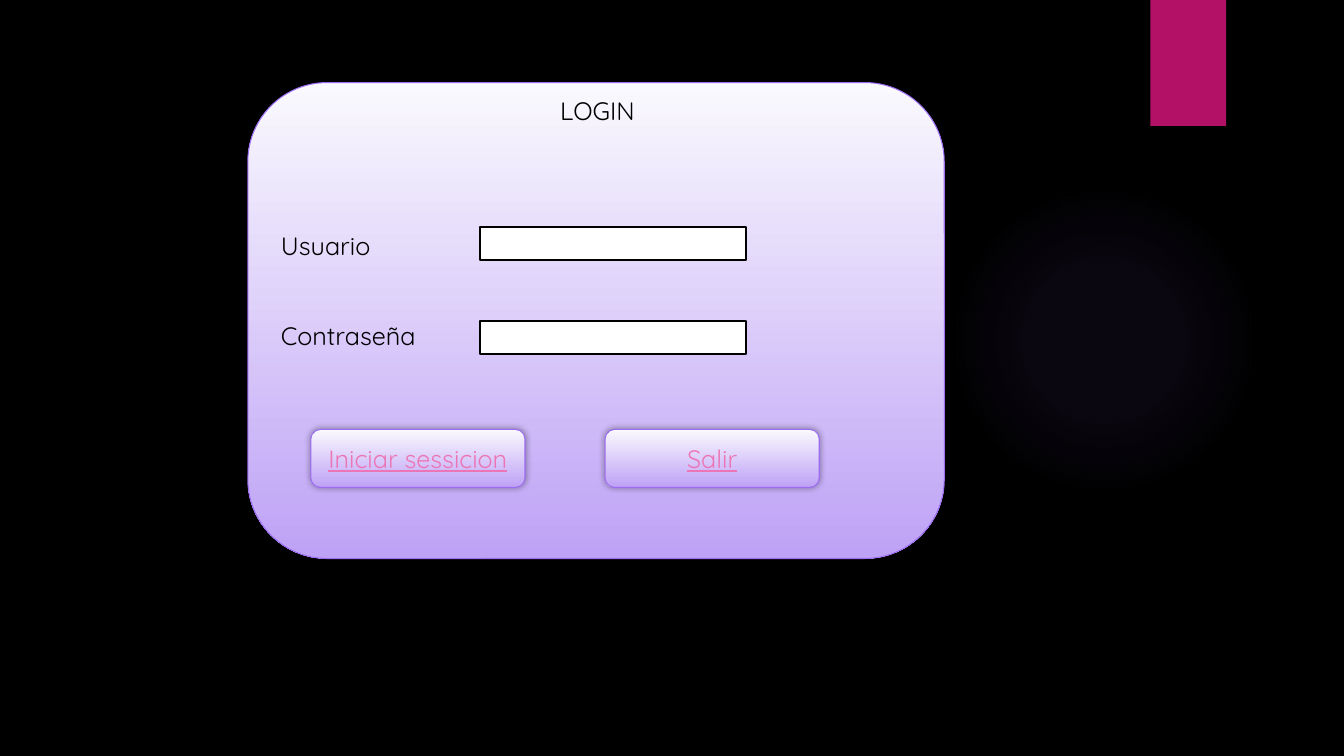
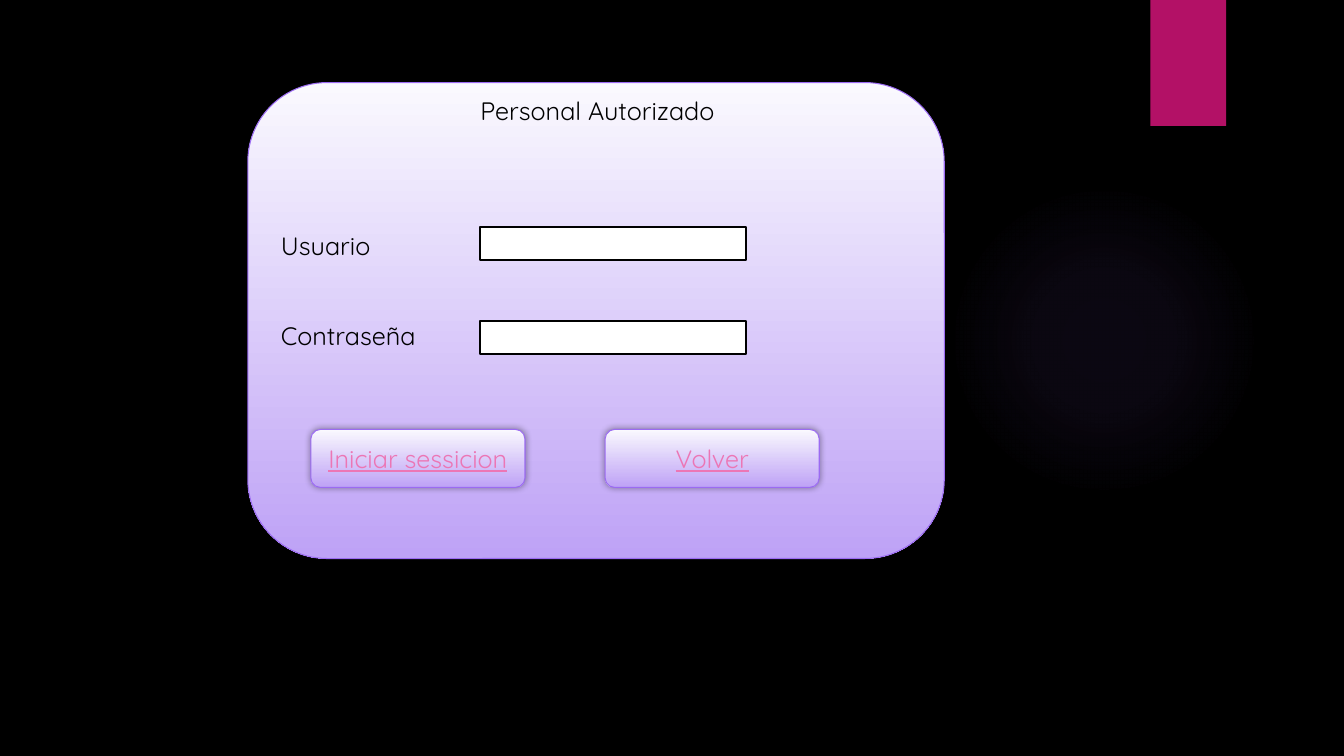
from lxml.etree import SubElement
from pptx import Presentation
from pptx.dml.color import RGBColor
from pptx.enum.shapes import MSO_SHAPE
from pptx.enum.text import MSO_ANCHOR, PP_ALIGN
from pptx.oxml.ns import qn
from pptx.util import Pt

FONT = "Quicksand"
BLACK, WHITE = "000000", "FFFFFF"
VIOLET, MAGENTA, LINK = "9B6BF2", "B31166", "EC76B5"
LILAC = [(0, "FAF9FE", 100), (100, "BEA2F6", 100)]
GLOW = [(0, VIOLET, 7), (36, VIOLET, 6), (69, VIOLET, 0)]

PANEL = (177, 59, 497.5, 340)
TITLE_HEIGHT = 40
FIELD_LEFT, FIELD_TOP, FIELD_WIDTH, FIELD_HEIGHT, FIELD_STEP = 342.7, 162, 190, 24, 67
BUTTON_LEFT, BUTTON_TOP, BUTTON_WIDTH, BUTTON_HEIGHT, BUTTON_STEP = 222, 306.7, 153, 41.5, 210.2


def rgb(color):
    return RGBColor.from_string(color)


def add_xml(parent, tag, **attributes):
    return SubElement(parent, qn(tag), {k: str(v) for k, v in attributes.items()})


def add_color(parent, color, opacity):
    el = add_xml(parent, "a:srgbClr", val=color)
    if opacity < 100:
        add_xml(el, "a:alpha", val=opacity * 1000)


def set_gradient(s, stops, radial=False):
    """Fill from top to bottom, or from the centre outwards."""
    s.fill.gradient()
    fill = s._element.spPr.find(qn("a:gradFill"))
    for child in list(fill):
        fill.remove(child)
    stop_list = add_xml(fill, "a:gsLst")
    for position, color, opacity in stops:
        add_color(add_xml(stop_list, "a:gs", pos=position * 1000), color, opacity)
    if radial:
        circle = add_xml(fill, "a:path", path="circle")
        add_xml(circle, "a:fillToRect", l=50000, t=50000, r=50000, b=50000)
    else:
        add_xml(fill, "a:lin", ang=90 * 60000, scaled=0)


def set_shadow(s, opacity, blur, distance, angle):
    effects = s._element.spPr.find(qn("a:effectLst"))
    shadow = add_xml(effects, "a:outerShdw", blurRad=Pt(blur), dist=Pt(distance),
                     dir=angle * 60000, algn="ctr", rotWithShape=0)
    add_color(shadow, BLACK, opacity)


def add_box(slide, kind, box, fill=None, line=None, width=0.75):
    s = slide.shapes.add_shape(kind, *map(Pt, box))
    s.shadow.inherit = False
    if fill:
        s.fill.solid()
        s.fill.fore_color.rgb = rgb(fill)
    else:
        set_gradient(s, LILAC)
    if line:
        s.line.color.rgb = rgb(line)
        s.line.width = Pt(width)
    else:
        s.line.fill.background()
    return s


def set_text(s, lines, color=BLACK, align=PP_ALIGN.CENTER, gap=0, **font):
    tf = s.text_frame
    tf.word_wrap = True
    tf.vertical_anchor = MSO_ANCHOR.MIDDLE
    for i, line in enumerate(lines):
        p = tf.paragraphs[0] if i == 0 else tf.add_paragraph()
        p.alignment = align
        if i:
            p.space_before = Pt(gap)
        r = p.add_run()
        r.text = line
        r.font.color.rgb = rgb(color)
        for name, value in {"name": FONT, "size": Pt(18), **font}.items():
            setattr(r.font, name, value)


def add_decoration(slide):
    glow = add_box(slide, MSO_SHAPE.OVAL, (677.5, 131.8, 221.8, 221.8))
    set_gradient(glow, GLOW, radial=True)
    ribbon = add_box(slide, MSO_SHAPE.RECTANGLE, (821.8, 0, 54, 90), MAGENTA)
    set_shadow(ribbon, 45, 3, 2, 90)


def add_panel(slide, labels):
    s = add_box(slide, MSO_SHAPE.ROUNDED_RECTANGLE, PANEL, line=VIOLET)
    s.text_frame.margin_bottom = Pt(46.6)
    set_text(s, labels, align=PP_ALIGN.LEFT, gap=42.5)


def add_field(slide, row):
    box = (FIELD_LEFT, FIELD_TOP + row * FIELD_STEP, FIELD_WIDTH, FIELD_HEIGHT)
    add_box(slide, MSO_SHAPE.RECTANGLE, box, WHITE, BLACK, 1.5)


def add_button(slide, column, label):
    box = (BUTTON_LEFT + column * BUTTON_STEP, BUTTON_TOP, BUTTON_WIDTH, BUTTON_HEIGHT)
    s = add_box(slide, MSO_SHAPE.FLOWCHART_ALTERNATE_PROCESS, box, line=VIOLET)
    set_shadow(s, 40, 5, 0, 0)
    set_text(s, [label], LINK, underline=True)


def add_title(slide, title):
    left, top, width, _ = PANEL
    s = slide.shapes.add_textbox(*map(Pt, (left + 1, top, width, TITLE_HEIGHT)))
    set_text(s, [title])


def add_login_slide(prs, title, labels, buttons):
    slide = prs.slides.add_slide(prs.slide_layouts[6])
    add_decoration(slide)
    add_panel(slide, labels)
    for row in range(len(labels)):
        add_field(slide, row)
    for column, label in enumerate(buttons):
        add_button(slide, column, label)
    add_title(slide, title)


def main():
    prs = Presentation()
    prs.slide_width, prs.slide_height = Pt(960), Pt(540)
    background = prs.slide_master.background.fill
    background.solid()
    background.fore_color.rgb = rgb(BLACK)
    labels = ["Usuario", "Contraseña"]
    for title, way_out in [("LOGIN", "Salir"), ("Personal Autorizado", "Volver")]:
        add_login_slide(prs, title, labels, ["Iniciar sessicion", way_out])
    prs.save("out.pptx")


if __name__ == "__main__":
    main()
